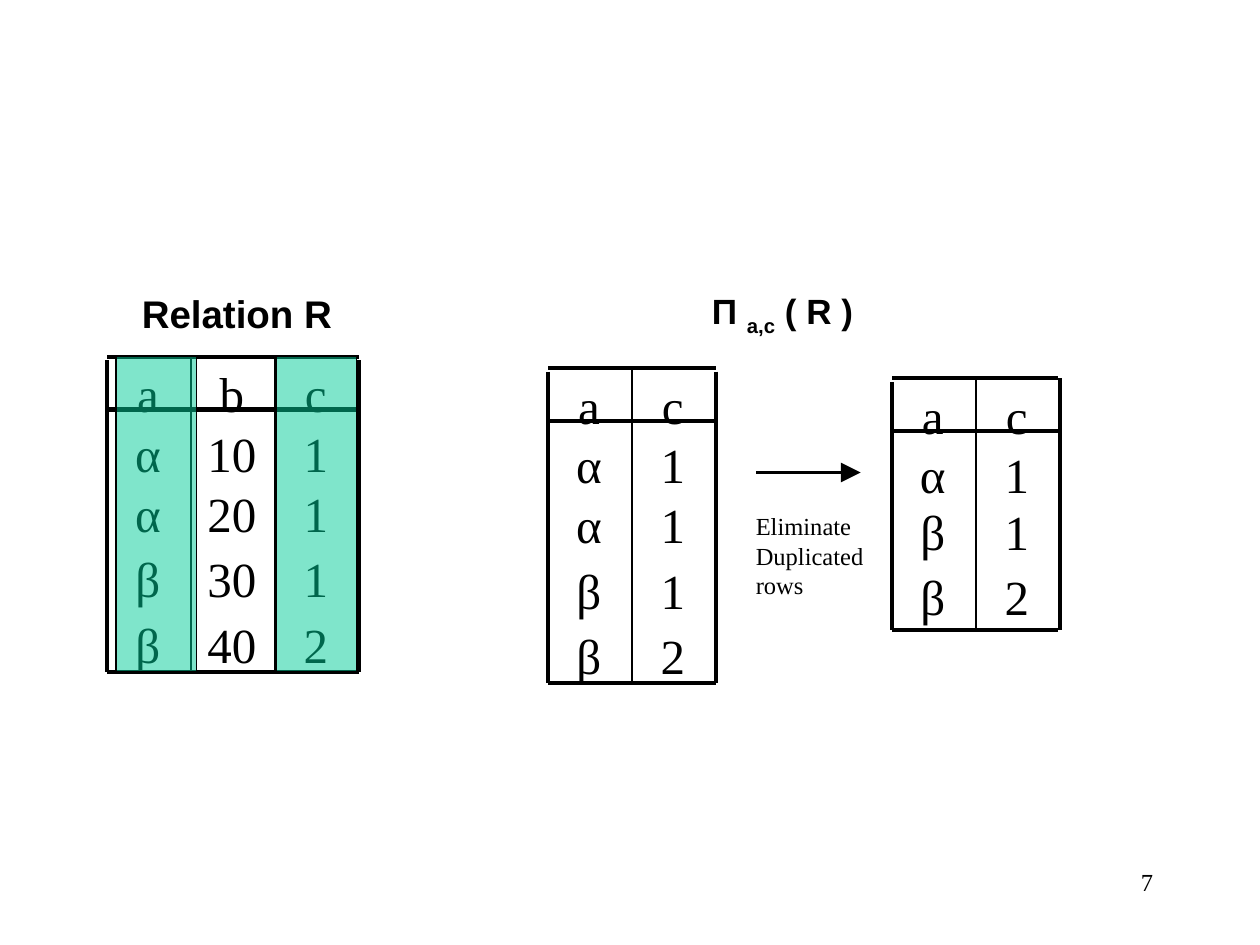
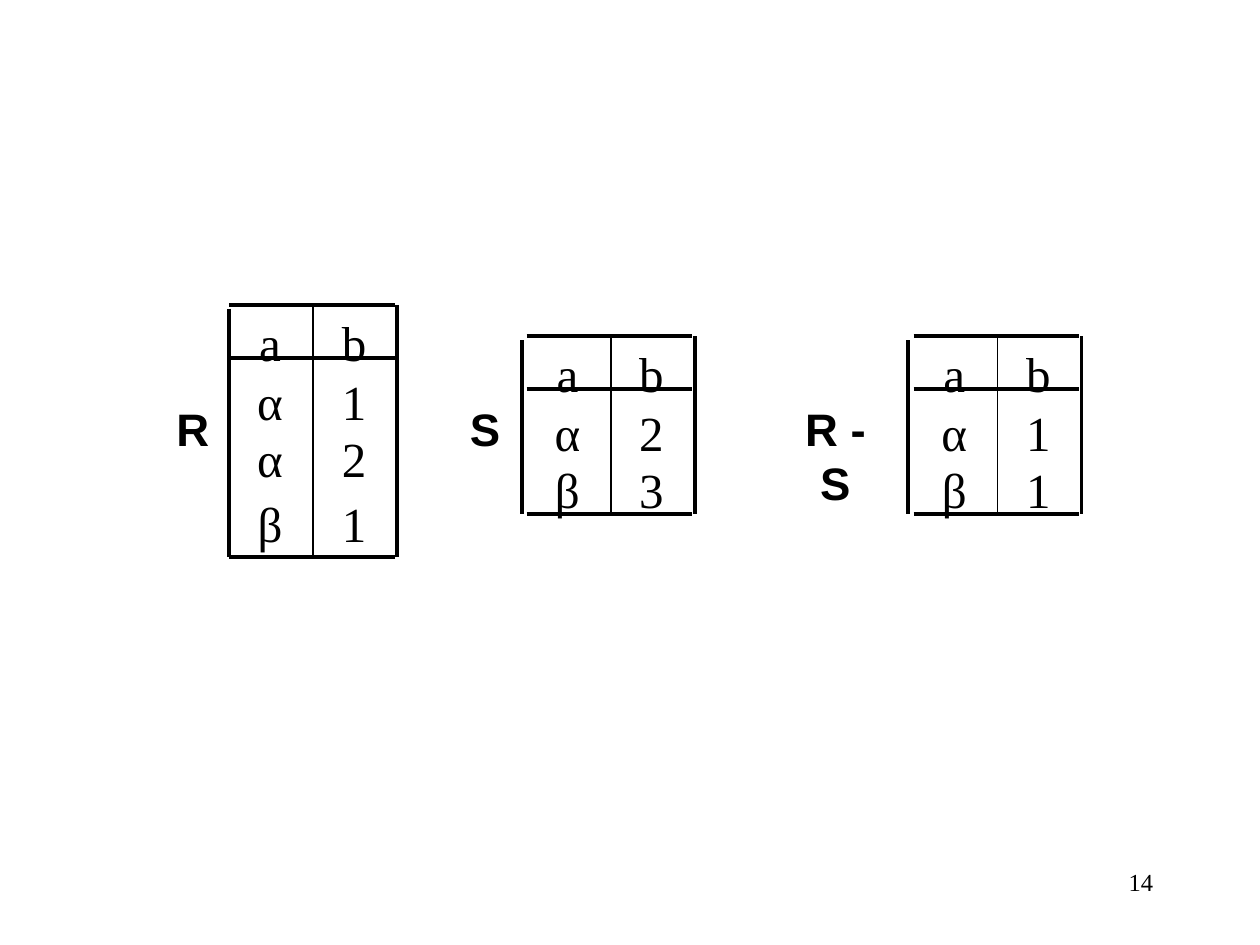
from dataclasses import dataclass
from typing import NamedTuple

import pptx
import pptx.dml.color
import pptx.enum.shapes
import pptx.enum.text
import pptx.oxml
import pptx.oxml.ns
import pptx.util
from pptx.util import Inches

# Shared look
COLORS = {"ink": "000000", "highlight": "00CC99"}
SERIF, SANS = "Times New Roman", "Arial"
CELL_FONT = {"name": SERIF, "size": pptx.util.Pt(28), "bold": False}
NOTE_FONT = {"name": SERIF, "size": pptx.util.Pt(14), "bold": False}
HEADING_FONT = {"name": SANS, "size": pptx.util.Pt(22), "bold": True}
FORMULA_FONT = {"name": SANS, "size": pptx.util.Pt(20), "bold": True}
NAME_FONT = {"name": SANS, "size": pptx.util.Pt(26), "bold": True}
OUTER, HEADER_RULE, INNER = 2.25, 2.5, 1.0

# Shared table measures
COLUMN_WIDTH = 2 / 3
HEADER_DEPTH = 0.42
TEXT_DROP = 0.08
ROW_HEIGHTS = {
    3: [0.45, 0.47, 0.45],
    4: [0.45, 0.47, 0.45, 0.52],
    5: [0.45, 0.47, 0.48, 0.52, 0.52],
}

ALIGN = pptx.enum.text.PP_ALIGN
NAMESPACE = pptx.oxml.ns.nsdecls("a")


class Span(NamedTuple):
    text: str
    baseline: int = 0


@dataclass
class Label:
    left: float
    top: float
    width: float
    height: float
    paras: list[list[Span]]
    font: dict
    align: ALIGN = ALIGN.CENTER
    wrap: bool = True


@dataclass
class Relation:
    """A table of tuples; outset moves its left rule, flush ends its rules at the right edge."""
    left: float
    top: float
    bottom: float
    rows: list[str]
    outset: float = 0
    flush: bool = False


def color(name: str) -> pptx.dml.color.RGBColor:
    return pptx.dml.color.RGBColor.from_string(COLORS[name])


def format_font(font, values: dict) -> None:
    for name, value in values.items():
        setattr(font, name, value)
    font.color.rgb = color("ink")


def add_label(page, label: Label) -> None:
    box = page.shapes.add_textbox(Inches(label.left), Inches(label.top),
                                  Inches(label.width), Inches(label.height))
    frame = box.text_frame
    frame.word_wrap = label.wrap
    if not label.wrap:
        frame.auto_size = pptx.enum.text.MSO_AUTO_SIZE.SHAPE_TO_FIT_TEXT
    for index, spans in enumerate(label.paras):
        para = frame.add_paragraph() if index else frame.paragraphs[0]
        para.alignment = label.align
        for text, baseline in spans:
            span = para.add_run()
            span.text = text
            format_font(span.font, label.font)
            if baseline:
                span._r.get_or_add_rPr().set("baseline", str(baseline * 1000))


def add_rule(page, start: tuple[float, float], end: tuple[float, float], width: float):
    rule = page.shapes.add_connector(pptx.enum.shapes.MSO_CONNECTOR.STRAIGHT,
                                     *map(Inches, start + end))
    rule.line.color.rgb = color("ink")
    rule.line.width = pptx.util.Pt(width)
    rule._element.spPr.append(pptx.oxml.parse_xml(f"<a:effectLst {NAMESPACE}/>"))
    return rule


def add_arrow(page, left: float, right: float, top: float) -> None:
    arrow = add_rule(page, (left, top), (right, top), OUTER)
    arrow.line._get_or_add_ln().append(pptx.oxml.parse_xml(
        f'<a:tailEnd {NAMESPACE} type="triangle" w="lg" len="lg"/>'))


def clear_cell(cell) -> None:
    properties = cell._tc.get_or_add_tcPr()
    for side in "LRTB":
        properties.append(pptx.oxml.parse_xml(
            f'<a:ln{side} {NAMESPACE} w="0"><a:noFill/></a:ln{side}>'))
    cell.fill.background()
    for side in ("left", "right", "top", "bottom"):
        setattr(cell, f"margin_{side}", 0)
    cell.vertical_anchor = pptx.enum.text.MSO_ANCHOR.BOTTOM


def add_relation(page, relation: Relation) -> None:
    # Values
    rows = [row.split() for row in relation.rows]
    columns = len(rows[0])
    heights = ROW_HEIGHTS[len(rows)]
    table = page.shapes.add_table(
        len(rows), columns, Inches(relation.left - 0.01), Inches(relation.top + TEXT_DROP),
        Inches(columns * COLUMN_WIDTH), Inches(sum(heights))).table
    table.first_row = table.horz_banding = False
    for column in table.columns:
        column.width = Inches(COLUMN_WIDTH)
    for r, values in enumerate(rows):
        table.rows[r].height = Inches(heights[r])
        for c, value in enumerate(values):
            cell = table.cell(r, c)
            clear_cell(cell)
            para = cell.text_frame.paragraphs[0]
            para.alignment = ALIGN.CENTER
            span = para.add_run()
            span.text = value
            format_font(span.font, CELL_FONT)

    # Rules
    left, top, bottom = relation.left, relation.top, relation.bottom
    right = left + columns * COLUMN_WIDTH
    end = right if relation.flush else right - 0.02
    for y, width in ((top, OUTER), (top + HEADER_DEPTH, HEADER_RULE), (bottom, OUTER)):
        add_rule(page, (left, y), (end, y), width)
    for c in range(1, columns):
        x = left + c * COLUMN_WIDTH
        add_rule(page, (x, top), (x, bottom), INNER)
    side = left - relation.outset
    add_rule(page, (side, top + 0.03), (side, bottom), OUTER)
    add_rule(page, (right, top + 0.03 * relation.flush), (right, bottom), OUTER)


def add_highlight(page, left: float, top: float, width: float, height: float) -> None:
    box = page.shapes.add_shape(pptx.enum.shapes.MSO_SHAPE.RECTANGLE, Inches(left),
                                Inches(top), Inches(width), Inches(height))
    box.shadow.inherit = False
    box.fill.solid()
    box.fill.fore_color.rgb = color("highlight")
    box.line.color.rgb = color("ink")
    box.line.width = pptx.util.Pt(0.75)
    tint = box._element.spPr.find(".//" + pptx.oxml.ns.qn("a:srgbClr"))
    tint.append(pptx.oxml.parse_xml(f'<a:alpha {NAMESPACE} val="50000"/>'))


def add_page(deck, number: int, relations: list[Relation], labels: list[Label]):
    page = deck.slides.add_slide(deck.slide_layouts[6])
    page_number = Label(7.17, 6.83, 2.08, 0.5, [[Span(str(number))]], NOTE_FONT, ALIGN.RIGHT)
    for relation in relations:
        add_relation(page, relation)
    for label in [page_number, *labels]:
        add_label(page, label)
    return page


def add_projection(deck) -> None:
    relations = [
        Relation(0.85, 2.83, 5.33, ["a b c", "α 10 1", "α 20 1", "β 30 1", "β 40 2"],
                 flush=True),
        Relation(4.35, 2.92, 5.42, ["a c", "α 1", "α 1", "β 1", "β 2"], flush=True),
        Relation(7.08, 3.0, 5.0, ["a c", "α 1", "β 1", "β 2"]),
    ]
    labels = [
        Label(0.92, 2.25, 1.92, 0.47, [[Span("Relation R")]], HEADING_FONT),
        Label(5.5, 2.25, 1.42, 0.43,
              [[Span("Π "), Span("a,c", -25), Span(" ( R )")]], FORMULA_FONT),
        Label(5.9, 4.01, 1.06, 0.8,
              [[Span(word)] for word in ("Eliminate", "Duplicated", "rows")],
              NOTE_FONT, ALIGN.LEFT, wrap=False),
    ]
    page = add_page(deck, 7, relations, labels)
    # Projected columns and the step that removes duplicates
    for left in (0.92, 2.19):
        add_highlight(page, left, 2.83, 0.64, 2.5)
    add_arrow(page, 6.0, 6.83, 3.75)


def add_difference(deck) -> None:
    relations = [
        Relation(1.82, 2.42, 4.42, ["a b", "α 1", "α 2", "β 1"]),
        Relation(4.18, 2.67, 4.08, ["a b", "α 2", "β 3"], outset=0.04),
        Relation(7.25, 2.67, 4.08, ["a b", "α 1", "β 1"], outset=0.04),
    ]
    names = [("R", 1.3, 0.46), ("S", 3.63, 0.44), ("R - S", 6.12, 1.02)]
    labels = [Label(left, 3.13, width, 0.53, [[Span(name)]], NAME_FONT, wrap=False)
              for name, left, width in names]
    add_page(deck, 14, relations, labels)


def main() -> None:
    deck = pptx.Presentation()
    deck.slide_width, deck.slide_height = Inches(10), Inches(7.5)
    add_projection(deck)
    add_difference(deck)
    deck.save("out.pptx")


if __name__ == "__main__":
    main()
